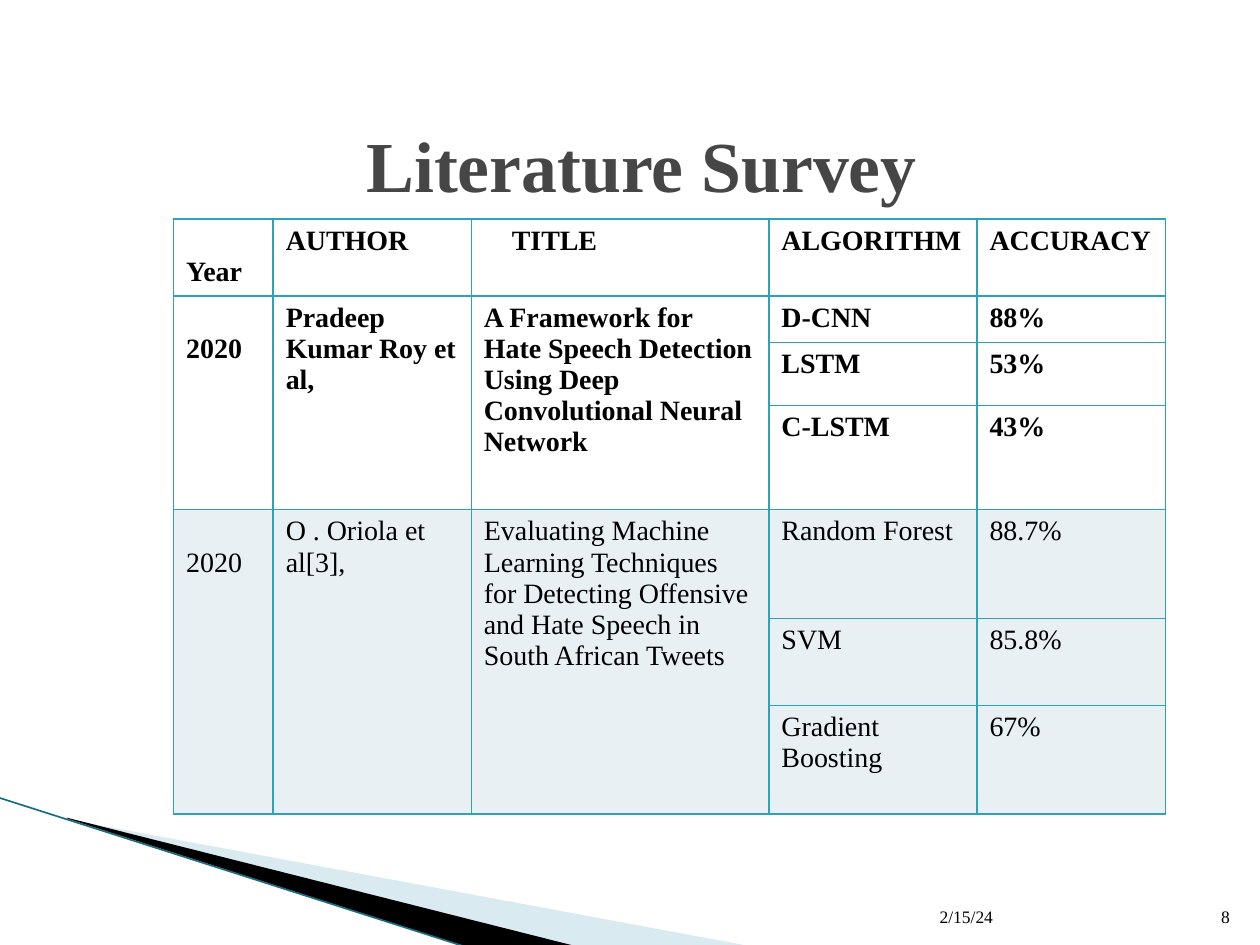
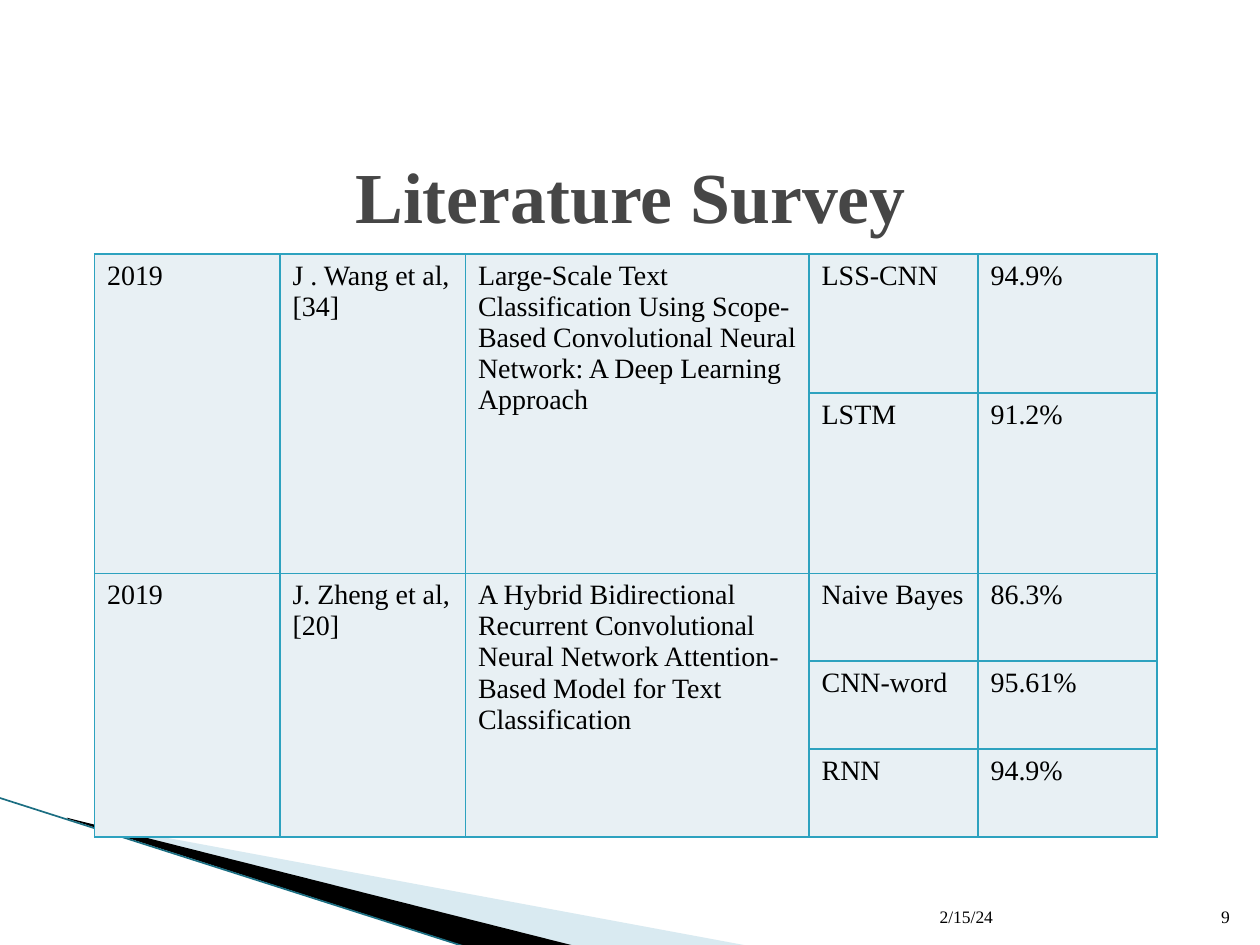
from pptx import Presentation
from pptx.util import Pt
from pptx.dml.color import RGBColor
from pptx.enum.shapes import MSO_CONNECTOR as Connector
from pptx.enum.text import MSO_ANCHOR as Anchor, PP_ALIGN as Align
from pptx.oxml.ns import qn
from lxml.etree import SubElement

# Shared look
FONT = "Times New Roman"
BLACK = RGBColor(0x00, 0x00, 0x00)
WHITE = RGBColor(0xFF, 0xFF, 0xFF)
TITLE_GREY = RGBColor(0x46, 0x46, 0x46)
PALE_BLUE = RGBColor(0xE8, 0xF0, 0xF4)
WEDGE_BLUE = RGBColor(0xA0, 0xCB, 0xDC)
EDGE_TEAL = RGBColor(0x1B, 0x6E, 0x82)
BORDER = RGBColor(0x2D, 0xA2, 0xBF)

TITLE = "Literature Survey"
DATE = "2/15/24"
MARGIN_X, MARGIN_Y = 7.2, 3.6
LINE_HEIGHT = 17.8
HEADING_INDENT = 16

# Content: each paper is (year, author, title, [(algorithm, accuracy), ...])
SLIDES = [
    dict(
        number="8",
        title_box=(-76.3, 37.4, 886.3, 113),
        origin=(99.2, 125),
        columns=[56.9, 113.2, 170.1, 118.9, 107.8],
        rows=[42.8, 25, 36, 59.6, 62.2, 49.7, 62.2],
        header=["Year", "AUTHOR", "TITLE", "ALGORITHM", "ACCURACY"],
        year_drop=LINE_HEIGHT,
        papers=[
            ("2020", "Pradeep Kumar Roy et al,",
             "A Framework for Hate Speech Detection Using Deep "
             "Convolutional Neural Network",
             [("D-CNN", "88%"), ("LSTM", "53%"), ("C-LSTM", "43%")]),
            ("2020", "O . Oriola et al[3],",
             "Evaluating Machine Learning Techniques for Detecting "
             "Offensive and Hate Speech in South African Tweets",
             [("Random Forest", "88.7%"), ("SVM", "85.8%"),
              ("Gradient Boosting", "67%")]),
        ],
        bold_papers=1,
    ),
    dict(
        number="9",
        title_box=(36.5, 66.2, 648, 90),
        origin=(54, 145.2),
        columns=[106, 106, 196.4, 96.5, 102.3],
        rows=[79.3, 96, 50.2, 50.2, 50.2],
        header=None,
        year_drop=0,
        papers=[
            ("2019", "J . Wang et al,[34]",
             "Large-Scale Text Classification Using Scope-Based Convolutional "
             "Neural Network: A Deep Learning Approach",
             [("LSS-CNN", "94.9%"), ("LSTM", "91.2%")]),
            ("2019", "J. Zheng et al,[20]",
             "A Hybrid Bidirectional Recurrent Convolutional Neural Network "
             "Attention-Based Model for Text Classification",
             [("Naive Bayes", "86.3%"), ("CNN-word", "95.61%"),
              ("RNN", "94.9%")]),
        ],
        bold_papers=0,
    ),
]

# Corner wedges: (points, colour, opacity in percent)
WEDGES = [
    ([(39.6, 468.4), (428.4, 540.6), (328.3, 540.6), (39.6, 468)],
     WEDGE_BLUE, 40),
    ([(38.2, 467.3), (329, 540.7), (267.8, 541.4), (38.9, 468)], BLACK, 100),
]
EDGE = (-0.7, 455.8, 267.1, 541.4)


def write(tf, text, size, color=BLACK, bold=False, align=Align.LEFT):
    p = tf.paragraphs[0]
    p.alignment = align
    r = p.add_run()
    r.text = text
    r.font.name, r.font.size, r.font.bold = FONT, Pt(size), bold
    r.font.color.rgb = color


def add_text(s, box, text, size, anchor, **style):
    tf = s.shapes.add_textbox(*map(Pt, box)).text_frame
    tf.word_wrap = True
    tf.vertical_anchor = anchor
    write(tf, text, size, **style)


def add_corner(s):
    for points, color, opacity in WEDGES:
        builder = s.shapes.build_freeform(*map(Pt, points[0]), scale=1.0)
        builder.add_line_segments([(Pt(x), Pt(y)) for x, y in points[1:]])
        sp = builder.convert_to_shape()
        sp.shadow.inherit = False
        sp.line.fill.background()
        sp.fill.solid()
        sp.fill.fore_color.rgb = color
        if opacity < 100:
            srgb = sp.fill._xPr.find(".//" + qn("a:srgbClr"))
            SubElement(srgb, qn("a:alpha"), val=str(opacity * 1000))
    edge = s.shapes.add_connector(Connector.STRAIGHT, *map(Pt, EDGE))
    edge.line.color.rgb = EDGE_TEAL
    edge.line.width = Pt(0.95)
    SubElement(edge._element.spPr, qn("a:effectLst"))


def style_cell(cell, fill):
    # Borders must precede the fill in the cell properties
    tc_pr = cell._tc.get_or_add_tcPr()
    for side in ("a:lnL", "a:lnR", "a:lnT", "a:lnB"):
        ln = SubElement(tc_pr, qn(side), w=str(Pt(1)))
        solid = SubElement(ln, qn("a:solidFill"))
        SubElement(solid, qn("a:srgbClr"), val=str(BORDER))
    cell.fill.solid()
    cell.fill.fore_color.rgb = fill
    cell.margin_left = cell.margin_right = Pt(MARGIN_X)
    cell.margin_top = cell.margin_bottom = Pt(MARGIN_Y)


def add_survey(s, data):
    columns, rows = data["columns"], data["rows"]
    frame = s.shapes.add_table(
        len(rows), len(columns), *map(Pt, data["origin"]),
        Pt(sum(columns)), Pt(sum(rows)))
    table = frame.table
    table.first_row = table.horz_banding = False
    for column, width in zip(table.columns, columns):
        column.width = Pt(width)
    for row, height in zip(table.rows, rows):
        row.height = Pt(height)

    def fill_cell(row, col, text, bold):
        cell = table.cell(row, col)
        write(cell.text_frame, text, 16, bold=bold)
        if col == 0:
            cell.margin_top = Pt(MARGIN_Y + data["year_drop"])

    # Fills and borders, header and bold papers on white
    bold_rows = bool(data["header"]) + sum(
        len(paper[3]) for paper in data["papers"][:data["bold_papers"]])
    for row in range(len(rows)):
        for col in range(len(columns)):
            style_cell(table.cell(row, col),
                       WHITE if row < bold_rows else PALE_BLUE)

    # Header row
    top = 0
    if data["header"]:
        for col, text in enumerate(data["header"]):
            fill_cell(0, col, text, True)
        table.cell(0, 2).margin_left = Pt(MARGIN_X + HEADING_INDENT)
        top = 1

    # One merged block per paper
    for *details, results in data["papers"]:
        bold = top < bold_rows
        bottom = top + len(results) - 1
        for col, text in enumerate(details):
            table.cell(top, col).merge(table.cell(bottom, col))
            fill_cell(top, col, text, bold)
        for row, result in enumerate(results, top):
            for col, text in enumerate(result, len(details)):
                fill_cell(row, col, text, bold)
        top = bottom + 1


def main():
    prs = Presentation()
    prs.slide_width, prs.slide_height = Pt(720), Pt(540)
    for data in SLIDES:
        s = prs.slides.add_slide(prs.slide_layouts[6])
        add_corner(s)
        add_text(s, data["title_box"], TITLE, 41, Anchor.MIDDLE,
                 color=TITLE_GREY, bold=True, align=Align.CENTER)
        add_survey(s, data)
        # Footer
        add_text(s, (529.9, 504.7, 151.2, 28.8), DATE, 10, Anchor.BOTTOM)
        add_text(s, (681.1, 504.7, 28.8, 28.8), data["number"], 10,
                 Anchor.BOTTOM, align=Align.RIGHT)
    prs.save("out.pptx")


if __name__ == "__main__":
    main()
